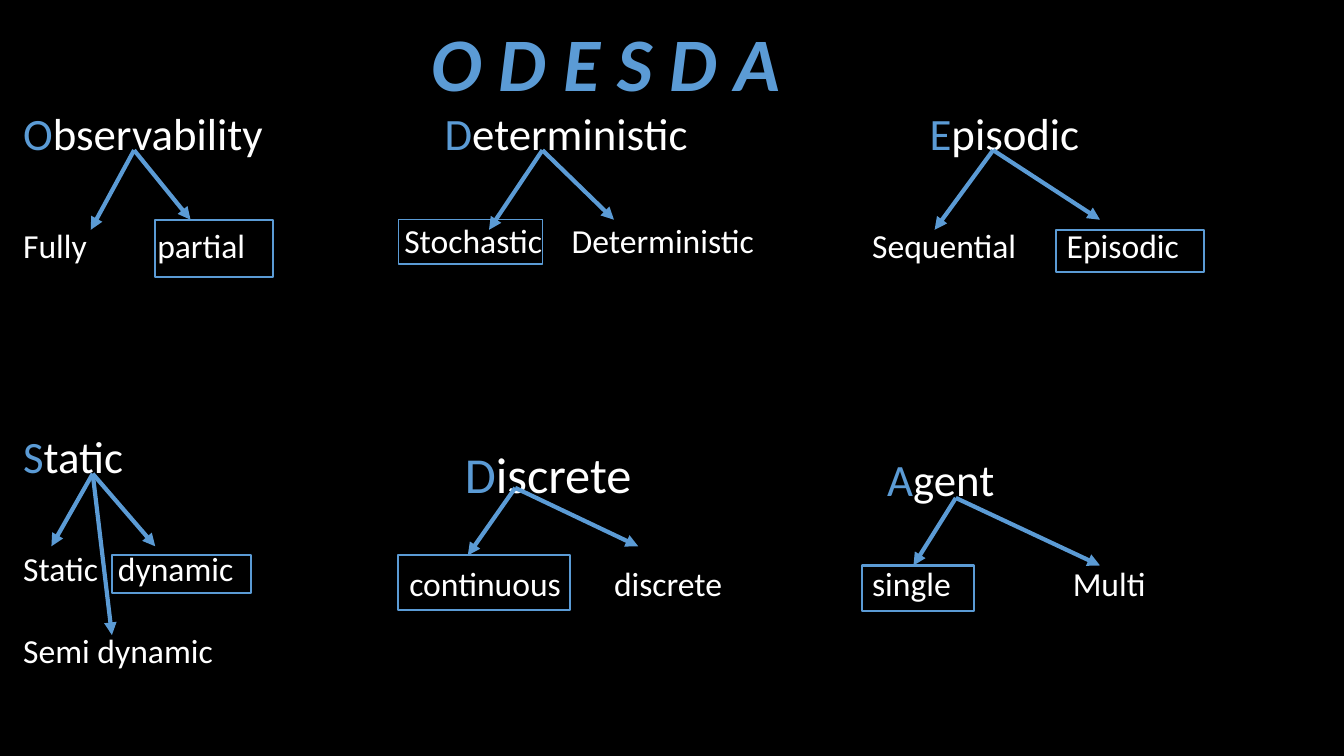
from dataclasses import dataclass

import pptx
import pptx.dml.color
import pptx.enum.shapes
import pptx.enum.text
import pptx.oxml
import pptx.oxml.ns
import pptx.slide
import pptx.util
from pptx.util import Inches, Pt


@dataclass(frozen=True)
class Theme:
    background: str = "000000"
    accent: str = "5B9BD5"
    text: str = "FFFFFF"
    font: str = "Calibri"
    title_size: int = 54
    heading_size: int = 32
    large_heading_size: int = 36
    option_size: int = 24
    arrow_width: float = 3
    box_width: float = 1.5
    thin_box_width: float = 1
    ascent: float = 0.95
    letter_width: float = 0.53


THEME = Theme()


@dataclass(frozen=True)
class Label:
    text: str
    left: float
    baseline: float
    size: int = THEME.option_size


@dataclass(frozen=True)
class Box:
    left: float
    top: float
    width: float
    height: float
    line_width: float = THEME.box_width


@dataclass(frozen=True)
class Branch:
    """A heading, the arrows that leave it, its options and the box round the chosen one."""
    heading: Label
    apex: tuple[float, float]
    tips: list[tuple[float, float]]
    options: list[Label]
    chosen: Box


BRANCHES = [
    Branch(Label("Observability", 0.23, 1.47, THEME.heading_size),
           (1.33, 1.49), [(0.9, 2.28), (1.89, 2.18)],
           [Label("Fully", 0.23, 2.55), Label("partial", 1.56, 2.55)],
           Box(1.54, 2.18, 1.17, 0.57)),
    Branch(Label("Deterministic", 4.41, 1.47, THEME.heading_size),
           (5.38, 1.49), [(4.85, 2.28), (6.09, 2.18)],
           [Label("Stochastic", 4.01, 2.5), Label("Deterministic", 5.67, 2.5)],
           Box(3.95, 2.18, 1.43, 0.44, THEME.thin_box_width)),
    Branch(Label("Episodic", 9.22, 1.47, THEME.heading_size),
           (9.85, 1.49), [(9.27, 2.28), (10.91, 2.18)],
           [Label("Sequential", 8.65, 2.55), Label("Episodic", 10.58, 2.55)],
           Box(10.47, 2.28, 1.47, 0.42)),
    Branch(Label("Static", 0.23, 4.68, THEME.heading_size),
           (0.92, 4.7), [(0.51, 5.42), (1.54, 5.42), (1.11, 6.3)],
           [Label("Static", 0.23, 5.75), Label("dynamic", 1.17, 5.75),
            Label("Semi dynamic", 0.23, 6.57)],
           Box(1.11, 5.51, 1.38, 0.37)),
    Branch(Label("Discrete", 4.61, 4.87, THEME.large_heading_size),
           (5.11, 4.84), [(4.64, 5.51), (6.33, 5.42)],
           [Label("continuous", 4.06, 5.9), Label("discrete", 6.09, 5.9)],
           Box(3.95, 5.51, 1.7, 0.54)),
    Branch(Label("Agent", 8.8, 4.9, THEME.heading_size),
           (9.48, 4.94), [(9.06, 5.61), (10.91, 5.61)],
           [Label("single", 8.65, 5.9), Label("Multi", 10.64, 5.9)],
           Box(8.55, 5.61, 1.11, 0.45)),
]


def color(value: str) -> pptx.dml.color.RGBColor:
    return pptx.dml.color.RGBColor.from_string(value)


def add_run(paragraph, text: str, size: int, text_color: str, emphasis: bool = False) -> None:
    run = paragraph.add_run()
    run.text = text
    font = run.font
    font.name = THEME.font
    font.size = Pt(size)
    font.color.rgb = color(text_color)
    font.bold = font.italic = emphasis


def add_title(slide: pptx.slide.Slide) -> None:
    title = slide.shapes.title
    title.left, title.top = Inches(1.01), Inches(0.04)
    title.width, title.height = Inches(10), Inches(1.08)
    title.text_frame.vertical_anchor = pptx.enum.text.MSO_ANCHOR.BOTTOM
    paragraph = title.text_frame.paragraphs[0]
    paragraph.alignment = pptx.enum.text.PP_ALIGN.CENTER
    paragraph.line_spacing = 0.9
    add_run(paragraph, "O D E S D A", THEME.title_size, THEME.accent, emphasis=True)


def add_label(slide: pptx.slide.Slide, label: Label, initial: bool = False) -> None:
    """Set one line of text on its baseline, with the first letter in accent if initial."""
    em = label.size / 72
    shape = slide.shapes.add_textbox(
        Inches(label.left), Inches(label.baseline - THEME.ascent * em),
        Inches(len(label.text) * THEME.letter_width * em), Inches(1.22 * em))
    frame = shape.text_frame
    frame.word_wrap = True
    frame.margin_left = frame.margin_right = frame.margin_top = frame.margin_bottom = 0
    paragraph = frame.paragraphs[0]
    if initial:
        add_run(paragraph, label.text[0], label.size, THEME.accent)
        add_run(paragraph, label.text[1:], label.size, THEME.text)
    else:
        add_run(paragraph, label.text, label.size, THEME.text)


def add_arrow(slide: pptx.slide.Slide, start: tuple[float, float],
              end: tuple[float, float]) -> None:
    arrow = slide.shapes.add_connector(
        pptx.enum.shapes.MSO_CONNECTOR.STRAIGHT, *map(Inches, start + end))
    arrow.line.color.rgb = color(THEME.accent)
    arrow.line.width = Pt(THEME.arrow_width)
    properties = arrow._element.spPr
    head = pptx.oxml.parse_xml(
        f'<a:tailEnd {pptx.oxml.ns.nsdecls("a")} type="triangle"/>')
    properties.find(pptx.oxml.ns.qn("a:ln")).append(head)
    properties.append(pptx.oxml.parse_xml(f'<a:effectLst {pptx.oxml.ns.nsdecls("a")}/>'))


def add_box(slide: pptx.slide.Slide, box: Box) -> None:
    shape = slide.shapes.add_shape(
        pptx.enum.shapes.MSO_SHAPE.RECTANGLE,
        Inches(box.left), Inches(box.top), Inches(box.width), Inches(box.height))
    shape.shadow.inherit = False
    shape.fill.background()
    shape.line.color.rgb = color(THEME.accent)
    shape.line.width = Pt(box.line_width)


def add_branch(slide: pptx.slide.Slide, branch: Branch) -> None:
    add_label(slide, branch.heading, initial=True)
    for option in branch.options:
        add_label(slide, option)
    for tip in branch.tips:
        add_arrow(slide, branch.apex, tip)
    add_box(slide, branch.chosen)


def main() -> None:
    presentation = pptx.Presentation()
    presentation.slide_width = Inches(13.33)
    presentation.slide_height = Inches(7.5)
    slide = presentation.slides.add_slide(presentation.slide_layouts[5])
    slide.background.fill.solid()
    slide.background.fill.fore_color.rgb = color(THEME.background)
    add_title(slide)
    for branch in BRANCHES:
        add_branch(slide, branch)
    presentation.save("out.pptx")


if __name__ == "__main__":
    main()
